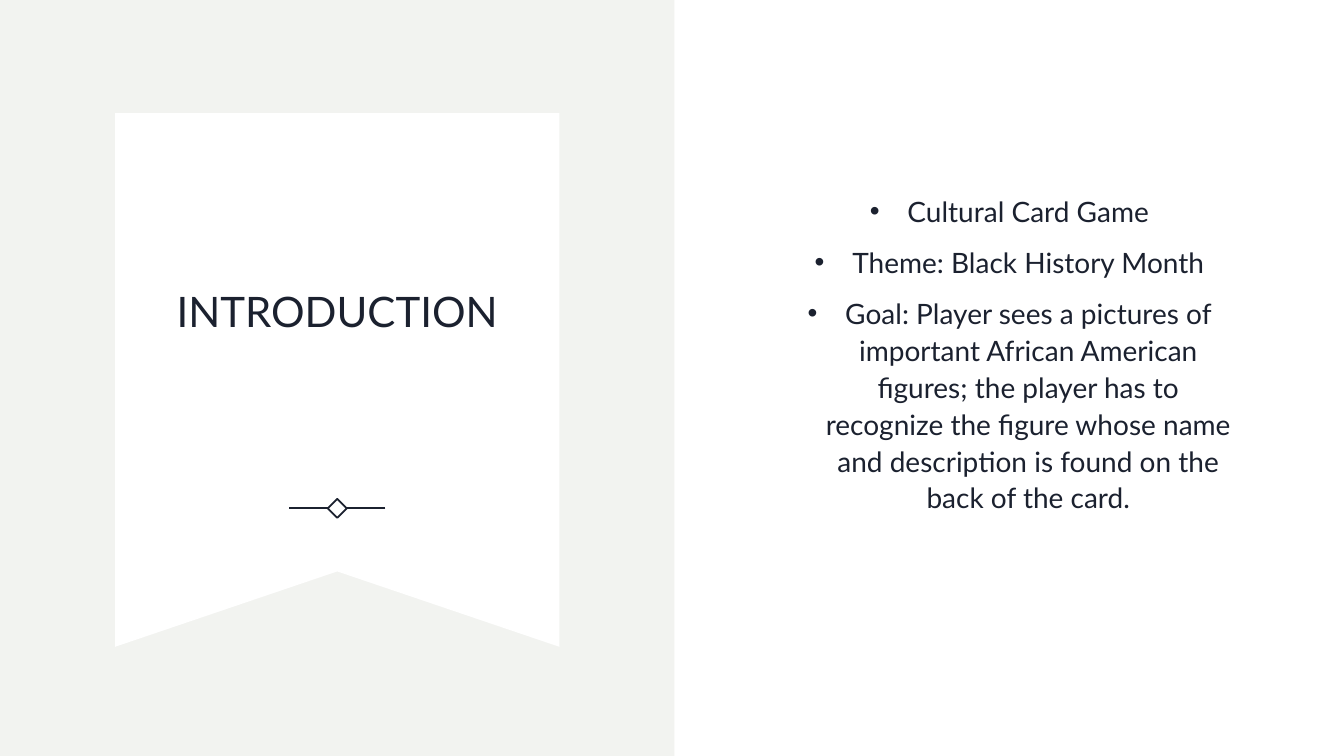
from collections import namedtuple
from dataclasses import dataclass

from lxml.etree import SubElement
from pptx import Presentation
from pptx.dml.color import RGBColor
from pptx.enum.shapes import MSO_CONNECTOR, MSO_SHAPE
from pptx.enum.text import MSO_ANCHOR, PP_ALIGN
from pptx.oxml.ns import qn
from pptx.util import Cm, Pt

Box = namedtuple("Box", "left top width height")


@dataclass(frozen=True)
class Theme:
    ink: RGBColor = RGBColor(0x1B, 0x21, 0x2F)
    paper: RGBColor = RGBColor(0xFF, 0xFF, 0xFF)
    panel: RGBColor = RGBColor(0xF2, 0xF3, 0xF0)
    font: str = "Lato"
    title: Pt = Pt(30)
    body: Pt = Pt(20)
    line: Pt = Pt(1.25)
    gap: Pt = Pt(10)
    lead: float = 1.1


THEME = Theme()
TITLE = "INTRODUCTION"
POINTS = [
    "Cultural Card Game",
    "Theme: Black History Month",
    "Goal: Player sees a pictures of important African American figures; "
    "the player has to recognize the figure whose name and description "
    "is found on the back of the card.",
]


def paint(shape, color):
    """Give a shape a flat fill without line or shadow."""
    shape.shadow.inherit = False
    shape.fill.solid()
    shape.fill.fore_color.rgb = color
    shape.line.fill.background()


def add_text(slide, box, lines, size):
    """Place centred paragraphs in the middle of the box."""
    frame = slide.shapes.add_textbox(*box).text_frame
    frame.word_wrap = True
    frame.vertical_anchor = MSO_ANCHOR.MIDDLE
    frame.text = "\n".join(lines)
    for para in frame.paragraphs:
        para.alignment = PP_ALIGN.CENTER
        para.line_spacing = THEME.lead
        para.font.name = THEME.font
        para.font.size = size
        para.font.color.rgb = THEME.ink
    return frame.paragraphs


def add_mark(slide, x, y):
    """Draw a diamond centred at x, y with a line on each side."""
    half, reach = Cm(0.24), Cm(1.21)
    gem = slide.shapes.add_shape(
        MSO_SHAPE.DIAMOND, x - half, y - half, 2 * half, 2 * half)
    gem.shadow.inherit = False
    gem.fill.background()
    gem.line.color.rgb = THEME.ink
    gem.line.width = THEME.line
    for side, site in ((-1, 1), (1, 3)):
        rule = slide.shapes.add_connector(
            MSO_CONNECTOR.STRAIGHT, x + side * reach, y, x + side * half, y)
        rule.end_connect(gem, site)
        rule.line.color.rgb = THEME.ink
        rule.line.width = THEME.line
        SubElement(rule.element.spPr, qn("a:effectLst"))


def add_banner(slide, box):
    """Draw the grey panel with its notched ribbon and title."""
    panel = slide.shapes.add_shape(MSO_SHAPE.RECTANGLE, *box)
    paint(panel, THEME.panel)

    # Ribbon, centred across the panel
    wide, tall, notch = Cm(11.2), Cm(13.45), Cm(1.9)
    mid = box.left + box.width // 2
    left, top = mid - wide // 2, box.top + Cm(2.85)
    right, foot = left + wide, top + tall
    pen = slide.shapes.build_freeform(left, top)
    pen.add_line_segments(
        [(right, top), (right, foot), (mid, foot - notch), (left, foot)])
    paint(pen.convert_to_shape(), THEME.paper)

    # Ornament and title
    add_mark(slide, mid, top + Cm(9.96))
    pad = Cm(0.92)
    area = Box(left + pad, top + pad, wide - 2 * pad, Cm(7.98))
    add_text(slide, area, [TITLE], THEME.title)


def add_points(slide, box):
    """Write the bulleted list inside the right half."""
    area = Box(box.left + Cm(2.46), box.top + Cm(2.41), Cm(11.96), Cm(12.96))
    for para in add_text(slide, area, POINTS, THEME.body):
        para.space_before = THEME.gap
        props = para._p.get_or_add_pPr()
        props.set("marL", str(Cm(0.95)))
        props.set("indent", str(-Cm(0.95)))
        SubElement(props, qn("a:buFont"), typeface="Arial")
        SubElement(props, qn("a:buChar"), char="•")
        # The schema wants the default run properties after the bullet
        props.append(props.find(qn("a:defRPr")))


def main():
    deck = Presentation()
    deck.slide_width, deck.slide_height = Cm(33.87), Cm(19.05)
    slide = deck.slides.add_slide(deck.slide_layouts[6])
    slide.background.fill.solid()
    slide.background.fill.fore_color.rgb = THEME.paper

    split = Cm(17)
    add_banner(slide, Box(0, 0, split, deck.slide_height))
    add_points(slide, Box(split, 0, deck.slide_width - split,
                          deck.slide_height))
    deck.save("out.pptx")


if __name__ == "__main__":
    main()
